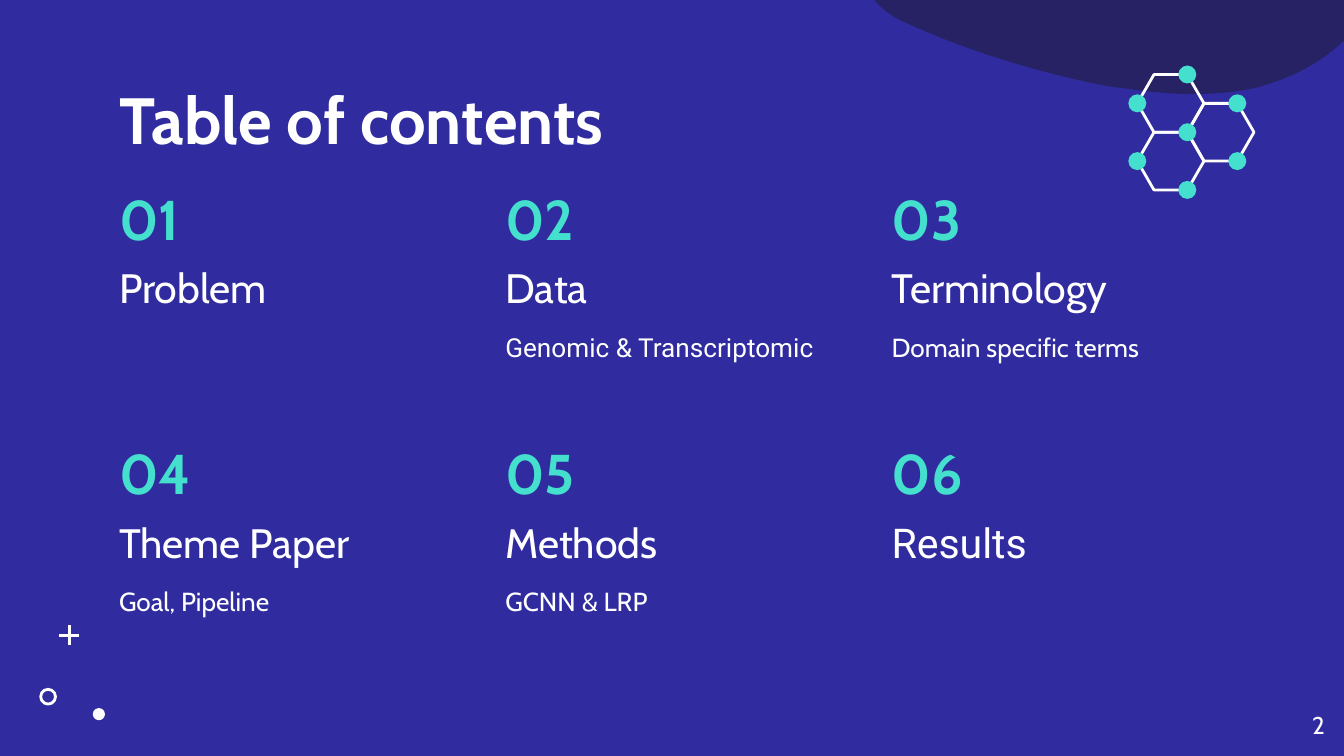
from dataclasses import dataclass
from math import cos, pi, sin, sqrt

from lxml import etree
from pptx import Presentation
from pptx.dml.color import RGBColor
from pptx.enum.shapes import MSO_CONNECTOR, MSO_SHAPE
from pptx.enum.text import MSO_ANCHOR, MSO_AUTO_SIZE, PP_ALIGN
from pptx.oxml.ns import qn
from pptx.util import Cm, Pt

OVAL = MSO_SHAPE.OVAL
STRAIGHT = MSO_CONNECTOR.STRAIGHT
TOP, BOTTOM = MSO_ANCHOR.TOP, MSO_ANCHOR.BOTTOM
LEFT, RIGHT = PP_ALIGN.LEFT, PP_ALIGN.RIGHT
NO_AUTOFIT = MSO_AUTO_SIZE.NONE
TITLE_ONLY = 5

Point = tuple[float, float]


@dataclass(frozen=True)
class Theme:
    background: RGBColor = RGBColor(0x30, 0x2C, 0x9F)
    wave: RGBColor = RGBColor(0x26, 0x22, 0x64)
    accent: RGBColor = RGBColor(0x44, 0xE0, 0xCD)
    light: RGBColor = RGBColor(0xFF, 0xFF, 0xFF)
    font: str = "Cabin"
    alternate_font: str = "Roboto"
    title_size: float = 35
    number_size: float = 30
    heading_size: float = 22
    description_size: float = 14
    page_size: float = 13
    line_width: float = 1.5


THEME = Theme()


@dataclass(frozen=True)
class TextStyle:
    size: float
    color: RGBColor = THEME.light
    bold: bool = False
    anchor: MSO_ANCHOR = TOP
    align: PP_ALIGN = LEFT
    spacing: float = 1.0


@dataclass(frozen=True)
class Topic:
    heading: str
    description: str = ""
    heading_font: str = THEME.font
    description_font: str = THEME.font


TITLE_STYLE = TextStyle(THEME.title_size, bold=True)
NUMBER_STYLE = TextStyle(THEME.number_size, THEME.accent, bold=True, anchor=BOTTOM)
HEADING_STYLE = TextStyle(THEME.heading_size, anchor=BOTTOM)
DESCRIPTION_STYLE = TextStyle(THEME.description_size, spacing=1.15)
PAGE_STYLE = TextStyle(THEME.page_size, align=RIGHT)

TOPICS = [
    Topic("Problem"),
    Topic("Data", "Genomic & Transcriptomic", description_font=THEME.alternate_font),
    Topic("Terminology", "Domain specific terms"),
    Topic("Theme Paper", "Goal, Pipeline"),
    Topic("Methods", "GCNN & LRP"),
    Topic("Results", heading_font=THEME.alternate_font),
]
COLUMNS = 3
GRID_LEFT, GRID_TOP = 2.0, 3.76
COLUMN_STEP, ROW_STEP = 7.3, 4.81
TOPIC_WIDTH = 6.78

# Each curve: two control points and an end point, in centimetres.
WAVE_START = (26.26, -1.04)
WAVE_CURVES = [
    ((26.21, -0.61), (26.09, -0.18), (25.86, 0.2)),
    ((25.37, 0.99), (24.54, 1.47), (23.65, 1.68)),
    ((23.27, 1.75), (22.91, 1.78), (22.53, 1.78)),
    ((22.0, 1.78), (21.46, 1.7), (20.93, 1.63)),
    ((19.61, 1.37), (18.29, 0.97), (17.07, 0.41)),
    ((16.48, 0.15), (16.15, -0.43), (16.18, -1.04)),
]


def style_text(shape, text: str, style: TextStyle, font: str = THEME.font) -> None:
    frame = shape.text_frame
    frame.text = text
    frame.word_wrap = True
    frame.auto_size = NO_AUTOFIT
    frame.vertical_anchor = style.anchor
    frame.margin_left = frame.margin_right = Cm(0.25)
    frame.margin_top = frame.margin_bottom = Cm(0.25)
    paragraph = frame.paragraphs[0]
    paragraph.alignment = style.align
    paragraph.line_spacing = style.spacing
    run_font = paragraph.runs[0].font
    run_font.name = font
    run_font.size = Pt(style.size)
    run_font.bold = style.bold
    run_font.color.rgb = style.color


def add_text(shapes, left: float, top: float, width: float, height: float,
             text: str, style: TextStyle, font: str = THEME.font) -> None:
    box = shapes.add_textbox(Cm(left), Cm(top), Cm(width), Cm(height))
    style_text(box, text, style, font)


def paint(shape, fill: RGBColor | None, line: RGBColor | None) -> None:
    shape.shadow.inherit = False
    if fill is None:
        shape.fill.background()
    else:
        shape.fill.solid()
        shape.fill.fore_color.rgb = fill
    if line is None:
        shape.line.fill.background()
    else:
        shape.line.color.rgb = line
        shape.line.width = Pt(THEME.line_width)


def add_circle(shapes, center: Point, diameter: float,
               fill: RGBColor | None, line: RGBColor | None = None) -> None:
    x, y = center
    circle = shapes.add_shape(OVAL, Cm(x - diameter / 2), Cm(y - diameter / 2),
                              Cm(diameter), Cm(diameter))
    paint(circle, fill, line)


def add_polygon(shapes, points: list[Point],
                fill: RGBColor | None, line: RGBColor | None = None) -> None:
    corners = [(Cm(x), Cm(y)) for x, y in points]
    builder = shapes.build_freeform(*corners[0])
    builder.add_line_segments(corners[1:], close=True)
    paint(builder.convert_to_shape(), fill, line)


def add_line(shapes, start: Point, end: Point) -> None:
    connector = shapes.add_connector(STRAIGHT, Cm(start[0]), Cm(start[1]),
                                     Cm(end[0]), Cm(end[1]))
    connector.line.color.rgb = THEME.light
    connector.line.width = Pt(THEME.line_width)
    etree.SubElement(connector._element.spPr, qn("a:effectLst"))


def flatten_curves(start: Point, curves: list, steps: int = 16) -> list[Point]:
    """Turn a chain of cubic Bezier curves into points on its outline."""
    points = [start]
    for first, second, end in curves:
        origin = points[-1]
        for step in range(1, steps + 1):
            t = step / steps
            weights = ((1 - t) ** 3, 3 * t * (1 - t) ** 2, 3 * t * t * (1 - t), t ** 3)
            knots = (origin, first, second, end)
            points.append((sum(w * x for w, (x, _) in zip(weights, knots)),
                           sum(w * y for w, (_, y) in zip(weights, knots))))
    return points


def add_molecule(shapes, x: float, y: float, radius: float) -> None:
    """Draw three hexagons that meet at (x, y), with dots on their corners."""
    half = radius * sqrt(3) / 2
    for dx, dy in [(-radius / 2, -half), (-radius / 2, half), (radius, 0)]:
        hexagon = [(x + dx + radius * cos(k * pi / 3), y + dy + radius * sin(k * pi / 3))
                   for k in range(6)]
        add_polygon(shapes, hexagon, None, THEME.light)
    side = 1.5 * radius
    dots = [(-side, -half), (-side, half), (side, -half), (side, half),
            (0, -2 * half), (0, 0), (0, 2 * half)]
    for dx, dy in dots:
        add_circle(shapes, (x + dx, y + dy), 0.34, THEME.accent)


def add_topic(shapes, index: int, topic: Topic) -> None:
    row, column = divmod(index, COLUMNS)
    left = GRID_LEFT + column * COLUMN_STEP
    top = GRID_TOP + row * ROW_STEP
    add_text(shapes, left, top, TOPIC_WIDTH, 1.24, f"{index + 1:02d}", NUMBER_STYLE)
    add_text(shapes, left, top + 1.04, TOPIC_WIDTH, 1.35,
             topic.heading, HEADING_STYLE, topic.heading_font)
    if topic.description:
        add_text(shapes, left, top + 2.16, TOPIC_WIDTH, 1.6,
                 topic.description, DESCRIPTION_STYLE, topic.description_font)


def main() -> None:
    presentation = Presentation()
    presentation.slide_width, presentation.slide_height = Cm(25.4), Cm(14.29)
    slide = presentation.slides.add_slide(presentation.slide_layouts[TITLE_ONLY])
    slide.background.fill.solid()
    slide.background.fill.fore_color.rgb = THEME.background
    shapes = slide.shapes

    add_polygon(shapes, flatten_curves(WAVE_START, WAVE_CURVES), THEME.wave)
    add_circle(shapes, (0.91, 13.17), 0.28, None, THEME.light)
    add_circle(shapes, (1.87, 13.5), 0.23, THEME.light)
    plus = shapes.add_group_shape().shapes
    add_line(plus, (1.12, 12.01), (1.5, 12.01))
    add_line(plus, (1.31, 11.82), (1.31, 12.2))

    title = shapes.title
    title.left, title.top, title.width, title.height = Cm(2), Cm(1.24), Cm(21.4), Cm(1.6)
    style_text(title, "Table of contents", TITLE_STYLE)
    for index, topic in enumerate(TOPICS):
        add_topic(shapes, index, topic)

    add_molecule(shapes.add_group_shape().shapes, 22.44, 2.5, 0.63)
    add_text(shapes, 23.77, 13.18, 1.52, 1.09, "2", PAGE_STYLE)
    presentation.save("out.pptx")


if __name__ == "__main__":
    main()
